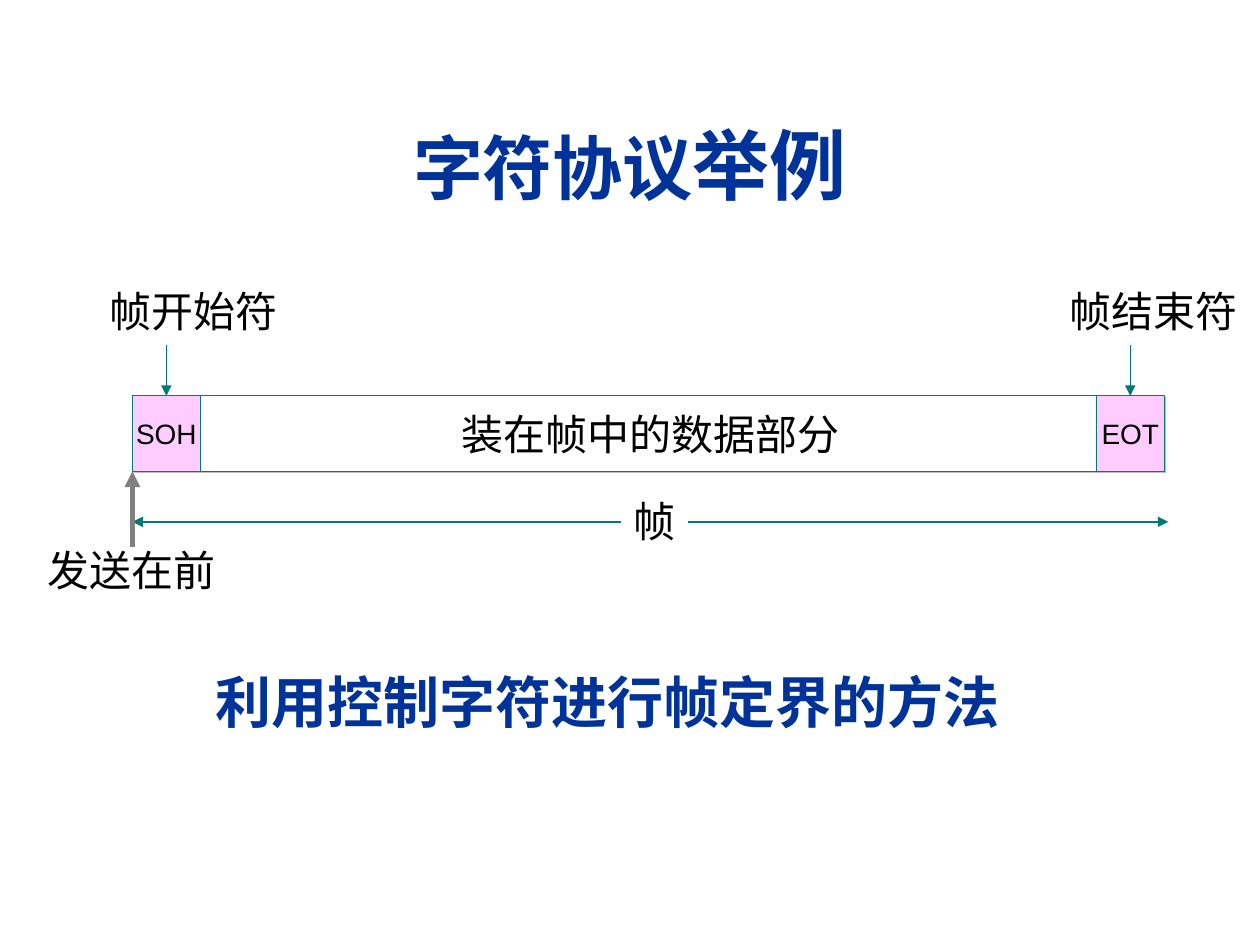
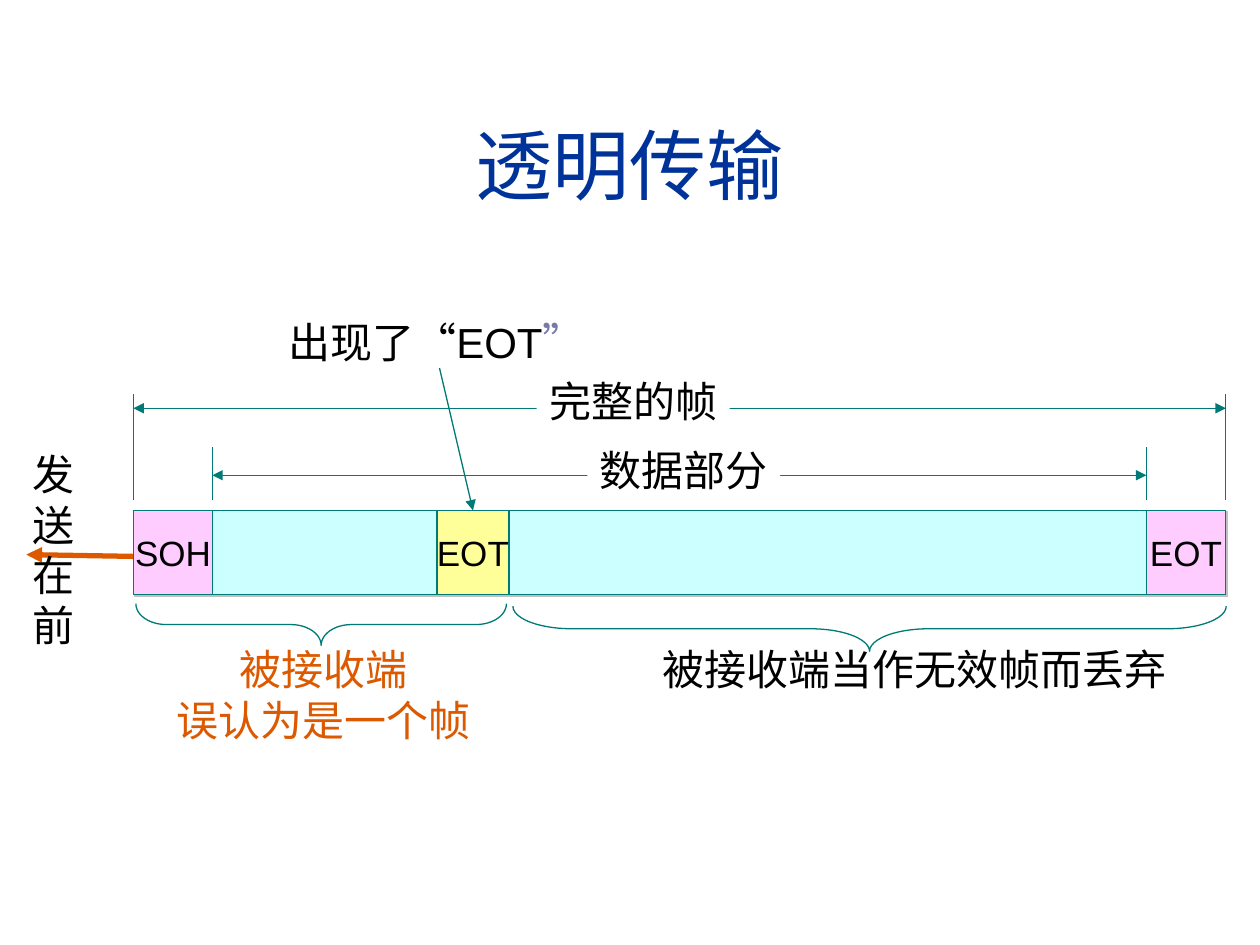
from pptx import Presentation
from pptx.dml.color import RGBColor
from pptx.enum import lang, shapes, text
from pptx.oxml import parse_xml
from pptx.oxml.ns import nsdecls, qn
from pptx.util import Cm, Pt

# Shared look
COLORS = {"title": "003399", "text": "000000", "line": "007A77", "control": "FFCCFF",
          "data": "CCFFFF", "stray": "FFFF99", "white": "FFFFFF", "shadow": "C0C0C0",
          "gray": "808080", "warning": "DC5900", "quote": "7979A5"}
TITLE_BOX = (0.84, 1.7, 23.72, 3.18)
LINE_H = 1.27
CENTER = text.PP_ALIGN.CENTER
LEFT = text.PP_ALIGN.LEFT
BODY = {"name": "Arial", "size": 24, "bold": False, "color": "text"}


def rgb(name):
    return RGBColor.from_string(COLORS[name])


def cms(*values):
    return [Cm(v) for v in values]


def write(tf, lines, align=LEFT, **fmt):
    """Each line is a string or a list of (string, format) runs."""
    for i, line in enumerate(lines):
        p = tf.paragraphs[0] if i == 0 else tf.add_paragraph()
        p.alignment = align
        for words, own in [(line, {})] if isinstance(line, str) else line:
            r = p.add_run()
            r.text = words
            look = {**BODY, **fmt, **own}
            r.font.color.rgb = rgb(look.pop("color"))
            look["size"] = Pt(look["size"])
            look["language_id"] = lang.MSO_LANGUAGE_ID.SIMPLIFIED_CHINESE
            for key, value in look.items():
                setattr(r.font, key, value)


def add_slide(prs, runs):
    s = prs.slides.add_slide(prs.slide_layouts[5])
    title = s.shapes.title
    for key, value in zip(("left", "top", "width", "height"), cms(*TITLE_BOX)):
        setattr(title, key, value)
    title.text_frame.vertical_anchor = text.MSO_ANCHOR.MIDDLE
    write(title.text_frame, [runs], CENTER, size=44, color="title")
    return s


def add_field(s, x, y, w, h, fill, words="", size=24, shadow=True):
    """One field of the frame."""
    sp = s.shapes.add_shape(shapes.MSO_SHAPE.RECTANGLE, *cms(x, y, w, h))
    sp.fill.solid()
    sp.fill.fore_color.rgb = rgb(fill)
    sp.line.color.rgb = rgb("line")
    sp.line.width = Pt(0.75)
    sp.shadow.inherit = False
    if shadow:
        sp._element.spPr.find(qn("a:effectLst")).append(parse_xml(
            f'<a:outerShdw {nsdecls("a")} dist="17780" dir="2700000" algn="ctr">'
            f'<a:srgbClr val="{COLORS["shadow"]}"/></a:outerShdw>'))
    if words:
        tf = sp.text_frame
        tf.word_wrap = False
        tf.vertical_anchor = text.MSO_ANCHOR.MIDDLE
        write(tf, [words], CENTER, size=size)
    return sp


def add_label(s, x, y, w, lines, align=LEFT, h=LINE_H, fill=None, wrap=False, **fmt):
    sp = s.shapes.add_textbox(*cms(x, y, w, h))
    tf = sp.text_frame
    tf.word_wrap = wrap
    tf.auto_size = text.MSO_AUTO_SIZE.SHAPE_TO_FIT_TEXT
    if fill:
        sp.fill.solid()
        sp.fill.fore_color.rgb = rgb(fill)
    write(tf, lines, align, **fmt)


def add_line(s, x1, y1, x2, y2, ends=(), color="line", width=0.75):
    c = s.shapes.add_connector(shapes.MSO_CONNECTOR.STRAIGHT, *cms(x1, y1, x2, y2))
    c.line.color.rgb = rgb(color)
    c.line.width = Pt(width)
    spPr = c._element.spPr
    for end in ends:
        spPr.find(qn("a:ln")).append(parse_xml(f'<a:{end} {nsdecls("a")} type="triangle"/>'))
    spPr.append(parse_xml(f'<a:effectLst {nsdecls("a")}/>'))
    return c


def add_pointer(s, x, y, field):
    """Arrow down to the middle of a field's top side."""
    add_line(s, x, y, x, y + 1, ["tailEnd"]).end_connect(field, 0)


def add_span(s, x1, x2, y, label_x, label_y, label_w, words):
    """Two-headed dimension line with its label set over it."""
    add_line(s, x1, y, x2, y, ["headEnd", "tailEnd"])
    add_label(s, label_x, label_y, label_w, [words], CENTER, fill="white")


def add_brace(s, x, y, w, h, curve):
    """Brace pointing down: a left brace turned by 270 degrees."""
    sp = s.shapes.add_shape(shapes.MSO_SHAPE.LEFT_BRACE,
                            *cms(x + (w - h) / 2, y + (h - w) / 2, h, w))
    sp.rotation = 270
    sp.adjustments[0] = curve
    sp.fill.background()
    sp.line.color.rgb = rgb("line")
    sp.line.width = Pt(0.75)
    sp.shadow.inherit = False


def build_frame_slide(prs):
    s = add_slide(prs, [("字符协议", {"size": 40, "bold": True}), ("举例", {"bold": True})])
    left, top, w, h = 2.67, 7.98, 1.37, 1.52
    end_left, label_w = 22.1, 3.89

    # Frame
    soh = add_field(s, left, top, w, h, "control", "SOH", 16)
    add_field(s, left + w, top, 18.14, h, "white", "装在帧中的数据部分")
    eot = add_field(s, end_left, top, w, h, "control", "EOT", 16)
    add_span(s, left, 23.55, 10.52, 12.52, 9.86, 1.35, "帧")

    # Start and end marks
    for field, field_x, label_x, words in ((soh, left, 1.96, "帧开始符"),
                                           (eot, end_left, 21.31, "帧结束符")):
        add_pointer(s, field_x + w / 2, 6.96, field)
        add_label(s, label_x, 5.64, label_w, [words])

    # Sending direction and caption
    add_line(s, left, 11.02, left, top + h, ["tailEnd"], "gray", 3)
    add_label(s, 0.71, 10.85, label_w, ["发送在前"])
    add_label(s, 4.09, 13.34, 18.8, ["利用控制字符进行帧定界的方法"], h=1.63, wrap=True,
              size=32, bold=True, color="title")


def build_transparency_slide(prs):
    s = add_slide(prs, "透明传输")
    left, data_left, end_left, right = 2.69, 4.28, 23.11, 24.71
    top, w, h = 10.29, 1.6, 1.7

    # Frame, with the sending arrow behind it
    add_line(s, 3.51, 11.23, 0.53, 11.18, ["tailEnd"], "warning", 3)
    add_field(s, left, top, w, h, "control", "SOH", 20)
    add_field(s, data_left, top, 19.3, h, "data")
    stray = add_field(s, 8.81, top, 1.45, h, "stray", "EOT", 20, shadow=False)
    add_field(s, end_left, top, w, h, "control", "EOT", 20)
    add_label(s, 0.41, 8.92, 2.18, ["发送", "在前"], h=2.29)

    # Stray end mark
    add_pointer(s, 8.86, 7.42, stray)
    add_label(s, 5.36, 6.25, 6.88, [[("出现了“EOT", {}), ("”", {"color": "quote"})]], CENTER)

    # Dimension lines and their limits
    for x1, x2, y, limit_y, label_x, label_y, words in (
            (data_left, end_left, 9.58, 9.02, 11.84, 8.84, "数据部分"),
            (left, right, 8.23, 7.95, 10.82, 7.44, "完整的帧")):
        add_span(s, x1, x2, y, label_x, label_y, 3.89, words)
        for x in (x1, x2):
            add_line(s, x, limit_y, x, 10.08)

    # What the receiver makes of each part
    add_brace(s, 2.74, 12.17, 7.47, 0.84, 0.73)
    add_label(s, 3.3, 12.85, 6.43, ["被接收端", "误认为是一个帧"], CENTER, h=2.29, color="warning")
    add_brace(s, 10.34, 12.22, 14.38, 0.91, 1.31)
    add_label(s, 13.11, 12.85, 10.67, ["被接收端当作无效帧而丢弃"], text.PP_ALIGN.JUSTIFY)


def main():
    prs = Presentation()
    prs.slide_width, prs.slide_height = cms(25.4, 19.05)
    build_frame_slide(prs)
    build_transparency_slide(prs)
    prs.save("out.pptx")


if __name__ == "__main__":
    main()
